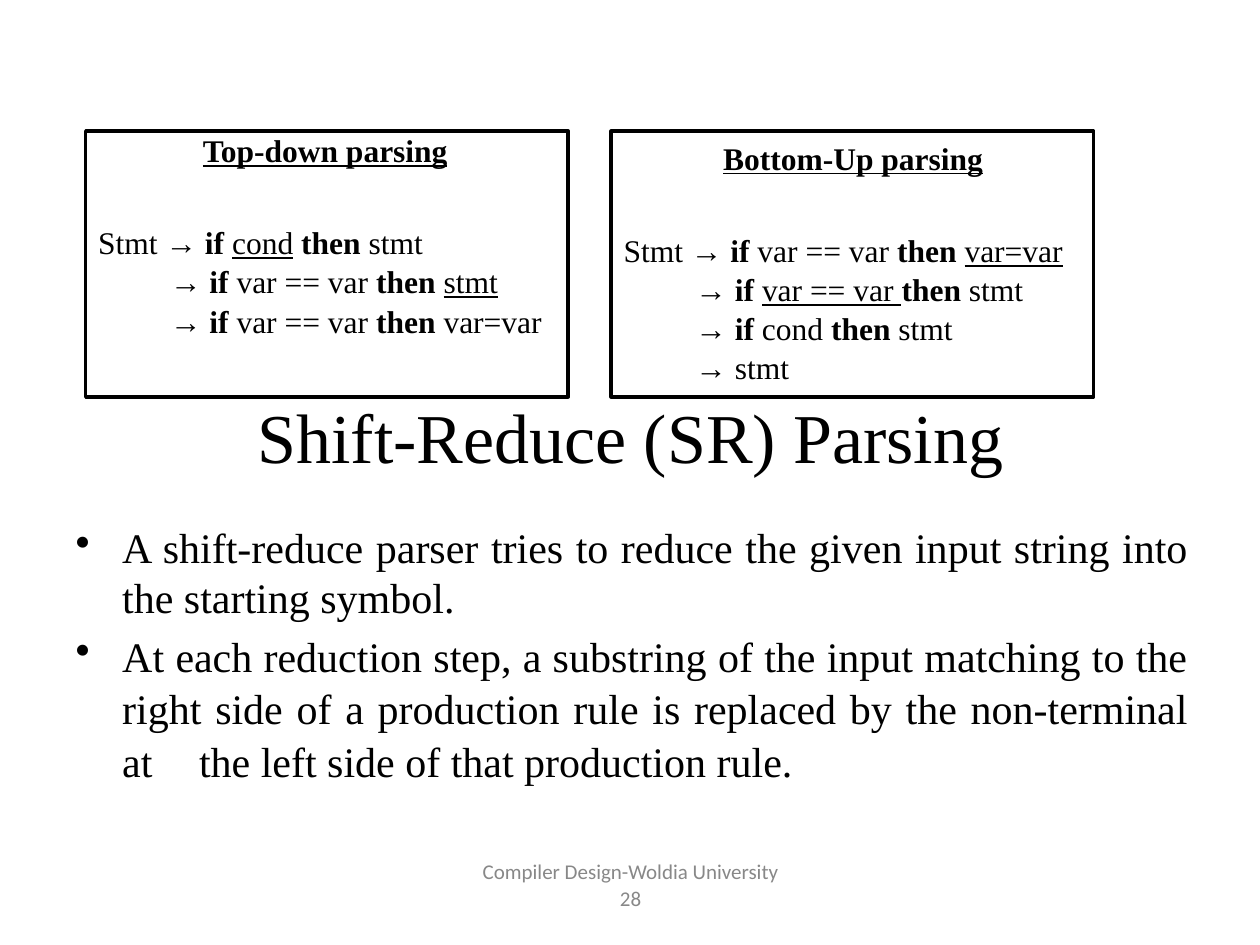
from pptx import Presentation
from pptx.dml.color import RGBColor
from pptx.enum.shapes import MSO_SHAPE as Shape
from pptx.enum.text import MSO_ANCHOR as Anchor, PP_ALIGN as Align
from pptx.oxml.ns import qn
from pptx.util import Inches, Pt
from lxml.etree import SubElement

COLORS = {"ink": "000000", "footer": "888888"}
SERIF, SANS = "Times New Roman", "Calibri"

# In the derivations, * switches bold and _ switches underline.
PARSERS = [
    {"heading": "*_Top-down parsing_*", "indent": 0.93, "top_inset": 0, "before": 0.2,
     "steps": ["Stmt → *if* _cond_ *then* stmt",
               "→ *if* var == var *then* _stmt_",
               "→ *if* var == var *then* var=var"]},
    {"heading": "*_Bottom-Up parsing_*", "indent": 0.89, "top_inset": 0.06, "before": 4,
     "steps": ["Stmt → *if* var == var *then* _var=var_",
               "→ *if* _var == var _*then* stmt",
               "→ *if* cond *then* stmt",
               "→ stmt"]},
]
TITLE = "Shift-Reduce (SR) Parsing"
BULLETS = [
    ("A shift-reduce parser tries to reduce the given input string into "
     "the starting symbol.", Pt(28.6), 25.8),
    ("At each reduction step, a substring of the input matching to the right side "
     "of a production rule is replaced by the non-terminal at \tthe left side of "
     "that production rule.", 1.04, 3.6),
]
FOOTER = [("Compiler Design-Woldia University", 0), ("28", 1.4)]

BOX_LEFT, BOX_TOP, BOX_WIDTH, BOX_HEIGHT, BOX_STEP = 0.68, 1.04, 3.83, 2.11, 4.17
HANG = 0.37


def prepare_frame(shape, top_inset=0):
    frame = shape.text_frame
    frame.word_wrap = True
    frame.vertical_anchor = Anchor.TOP
    frame.margin_left = frame.margin_right = frame.margin_bottom = 0
    frame.margin_top = Inches(top_inset)
    return frame


def next_paragraph(frame):
    """Return the empty first paragraph, or a new one after the last."""
    last = frame.paragraphs[-1]
    return frame.add_paragraph() if last.runs else last


def style(span, size, font=SERIF, color="ink"):
    span.font.size = Pt(size)
    span.font.name = font
    span.font.color.rgb = RGBColor.from_string(COLORS[color])


def add_line(frame, text, size, align, before=0, indent=0, font=SERIF, color="ink"):
    para = next_paragraph(frame)
    para.text = text
    para.alignment = align
    para.space_before = Pt(before)
    para._p.get_or_add_pPr().set("marL", str(Inches(indent)))
    for span in para.runs:
        style(span, size, font, color)
    return para


def apply_marks(para, size):
    """Turn the * and _ marks of a paragraph into bold and underlined runs."""
    text = para.text
    para.clear()
    for b, bold_part in enumerate(text.split("*")):
        underlined = False
        if bold_part.startswith("_") or "_" in bold_part:
            parts = bold_part.split("_")
        else:
            parts = [bold_part]
        for u, part in enumerate(parts):
            underlined = u % 2 == 1
            if part:
                span = para.add_run()
                span.text = part
                style(span, size)
                span.font.bold = b % 2 == 1
                span.font.underline = underlined


def add_bullet(para):
    props = para._p.get_or_add_pPr()
    props.set("indent", str(-Inches(HANG)))
    SubElement(props, qn("a:buChar")).set("char", "•")
    stops = SubElement(props, qn("a:tabLst"))
    stop = SubElement(stops, qn("a:tab"))
    stop.set("pos", str(props.get("marL")))
    stop.set("algn", "l")


def add_parser_box(page, parser, left):
    box = page.shapes.add_shape(Shape.RECTANGLE, Inches(left), Inches(BOX_TOP),
                                Inches(BOX_WIDTH), Inches(BOX_HEIGHT))
    box.shadow.inherit = False
    box.fill.background()
    box.line.color.rgb = RGBColor.from_string(COLORS["ink"])
    box.line.width = Pt(1.92)
    frame = prepare_frame(box, parser["top_inset"])
    lines = [(parser["heading"], parser["before"], parser["indent"])]
    for i, step in enumerate(parser["steps"]):
        lines.append((step, 0.8 if i else 31, 0.67 if i else 0.1))
    for text, before, indent in lines:
        apply_marks(add_line(frame, text, 18, Align.LEFT, before, indent), 18)


def add_text(page, left, top, width, height, top_inset=0):
    box = page.shapes.add_textbox(Inches(left), Inches(top), Inches(width), Inches(height))
    return prepare_frame(box, top_inset)


def main():
    deck = Presentation()
    deck.slide_width, deck.slide_height = Inches(10), Inches(7.5)
    page = deck.slides.add_slide(deck.slide_layouts[6])

    footer = add_text(page, 3.81, 6.84, 2.39, 0.41)
    for text, before in FOOTER:
        add_line(footer, text, 12, Align.CENTER, before, font=SANS, color="footer")
    footer.paragraphs[0].line_spacing = Pt(12.4)

    for i, parser in enumerate(PARSERS):
        add_parser_box(page, parser, BOX_LEFT + i * BOX_STEP)

    body = add_text(page, 0.58, 3.11, 8.85, 3.15, 0.01)
    add_line(body, TITLE, 40, Align.CENTER, 0.9)
    for text, spacing, before in BULLETS:
        para = add_line(body, text, 24, Align.JUSTIFY, before, 0.39)
        para.line_spacing = spacing
        add_bullet(para)

    deck.save("out.pptx")


if __name__ == "__main__":
    main()
